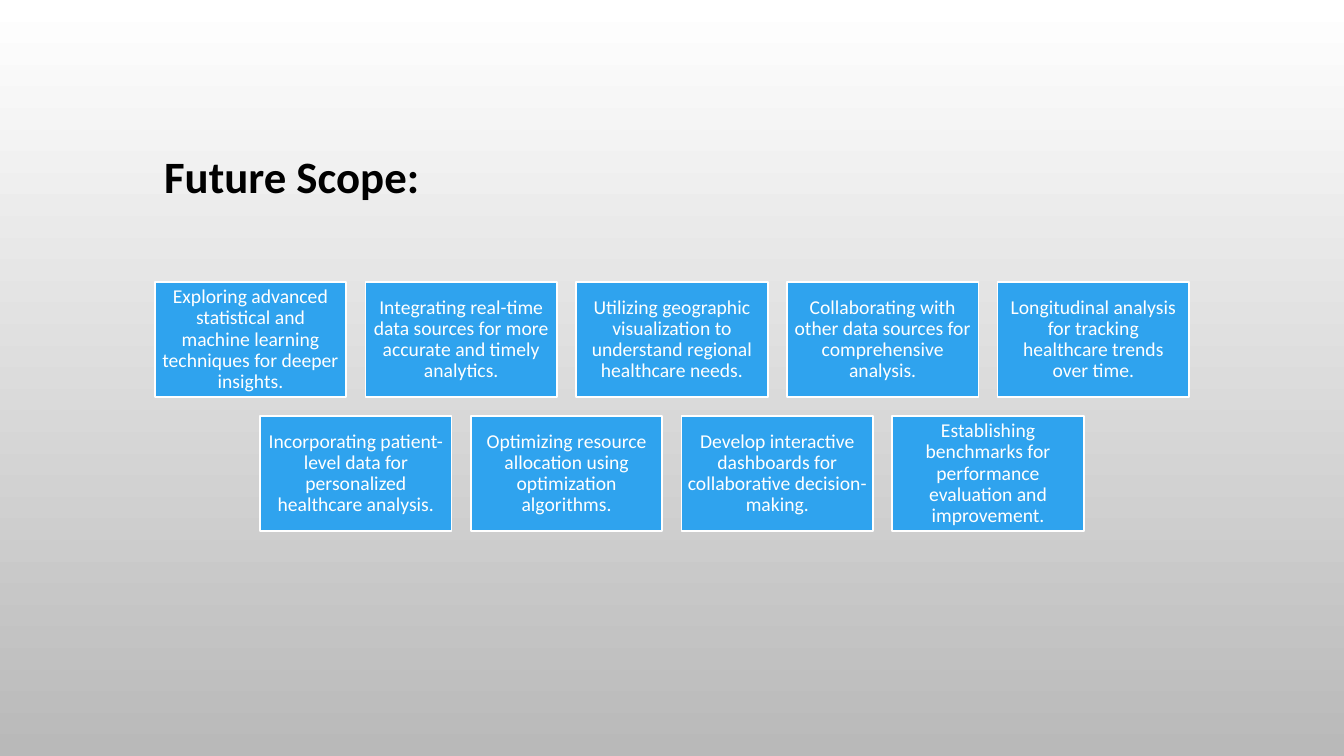
"""Build the Future Scope slide: a title above two centred rows of cards."""
from dataclasses import dataclass

from pptx import Presentation
from pptx.dml.color import RGBColor as Rgb
from pptx.enum.shapes import MSO_SHAPE as Preset
from pptx.enum.text import MSO_ANCHOR as Anchor, MSO_AUTO_SIZE as AutoSize, PP_ALIGN as Align
from pptx.shapes.autoshape import Shape
from pptx.slide import Slide
from pptx.util import Inches, Pt

SLIDE_W, SLIDE_H = 13.33, 7.5
CARD_W, CARD_H, GAP = 1.9, 1.14, 0.19
GRID_TOP = 2.8
FONT = "Calibri"
COLOURS = {
    "sky": "FFFFFF",
    "ground": "B9B9B9",
    "title": "000000",
    "card": "2FA3EE",
    "card_text": "FFFFFF",
    "card_edge": "FFFFFF",
}
SCOPE_ROWS = [
    [
        "Exploring advanced statistical and machine learning techniques for deeper insights.",
        "Integrating real-time data sources for more accurate and timely analytics.",
        "Utilizing geographic visualization to understand regional healthcare needs.",
        "Collaborating with other data sources for comprehensive analysis.",
        "Longitudinal analysis for tracking healthcare trends over time.",
    ],
    [
        "Incorporating patient-level data for personalized healthcare analysis.",
        "Optimizing resource allocation using optimization algorithms.",
        "Develop interactive dashboards for collaborative decision-making.",
        "Establishing benchmarks for performance evaluation and improvement.",
    ],
]


@dataclass(frozen=True)
class Card:
    text: str
    row: int
    column: float

    @property
    def left(self) -> float:
        return self.column * (CARD_W + GAP) + (SLIDE_W - CARD_W) / 2

    @property
    def top(self) -> float:
        return GRID_TOP + self.row * (CARD_H + GAP)


def colour(role: str) -> Rgb:
    return Rgb.from_string(COLOURS[role])


def write(holder: Shape, text: str, *, size: float, role: str, bold: bool = False,
          align: Align = Align.LEFT, spacing: float = 1.0, after: float = 0,
          inset: float | None = None) -> None:
    frame = holder.text_frame
    frame.word_wrap = True
    frame.vertical_anchor = Anchor.MIDDLE
    if inset is not None:
        frame.margin_left = frame.margin_right = Inches(inset)
        frame.margin_top = frame.margin_bottom = Inches(inset)
    paragraph = frame.paragraphs[0]
    paragraph.alignment = align
    paragraph.line_spacing = spacing
    paragraph.space_after = Pt(after)
    run = paragraph.add_run()
    run.text = text
    run.font.name, run.font.size, run.font.bold = FONT, Pt(size), bold
    run.font.color.rgb = colour(role)


def paint_background(slide: Slide) -> None:
    fill = slide.background.fill
    fill.gradient()
    fill.gradient_angle = 270
    for stop, role in zip(fill.gradient_stops, ("sky", "ground")):
        stop.color.rgb = colour(role)


def draw_title(slide: Slide) -> None:
    title = slide.shapes.add_textbox(
        Inches(1.53), Inches(1.47), Inches(SLIDE_W / 2), Inches(0.51))
    write(title, "Future Scope:", size=32, role="title", bold=True, spacing=1.07, after=8)
    title.text_frame.auto_size = AutoSize.SHAPE_TO_FIT_TEXT


def draw_card(slide: Slide, card: Card) -> None:
    tile = slide.shapes.add_shape(
        Preset.RECTANGLE, Inches(card.left), Inches(card.top), Inches(CARD_W), Inches(CARD_H))
    tile.shadow.inherit = False
    tile.fill.solid()
    tile.fill.fore_color.rgb = colour("card")
    tile.line.color.rgb = colour("card_edge")
    tile.line.width = Pt(1.25)
    write(tile, card.text, size=14, role="card_text", align=Align.CENTER,
          spacing=0.9, after=5, inset=0.06)


def main() -> None:
    deck = Presentation()
    deck.slide_width, deck.slide_height = Inches(SLIDE_W), Inches(SLIDE_H)
    slide = deck.slides.add_slide(deck.slide_layouts[6])
    paint_background(slide)
    draw_title(slide)
    for row, scopes in enumerate(SCOPE_ROWS):
        for position, scope in enumerate(scopes):
            draw_card(slide, Card(scope, row, position - (len(scopes) - 1) / 2))
    deck.save("out.pptx")


if __name__ == "__main__":
    main()
